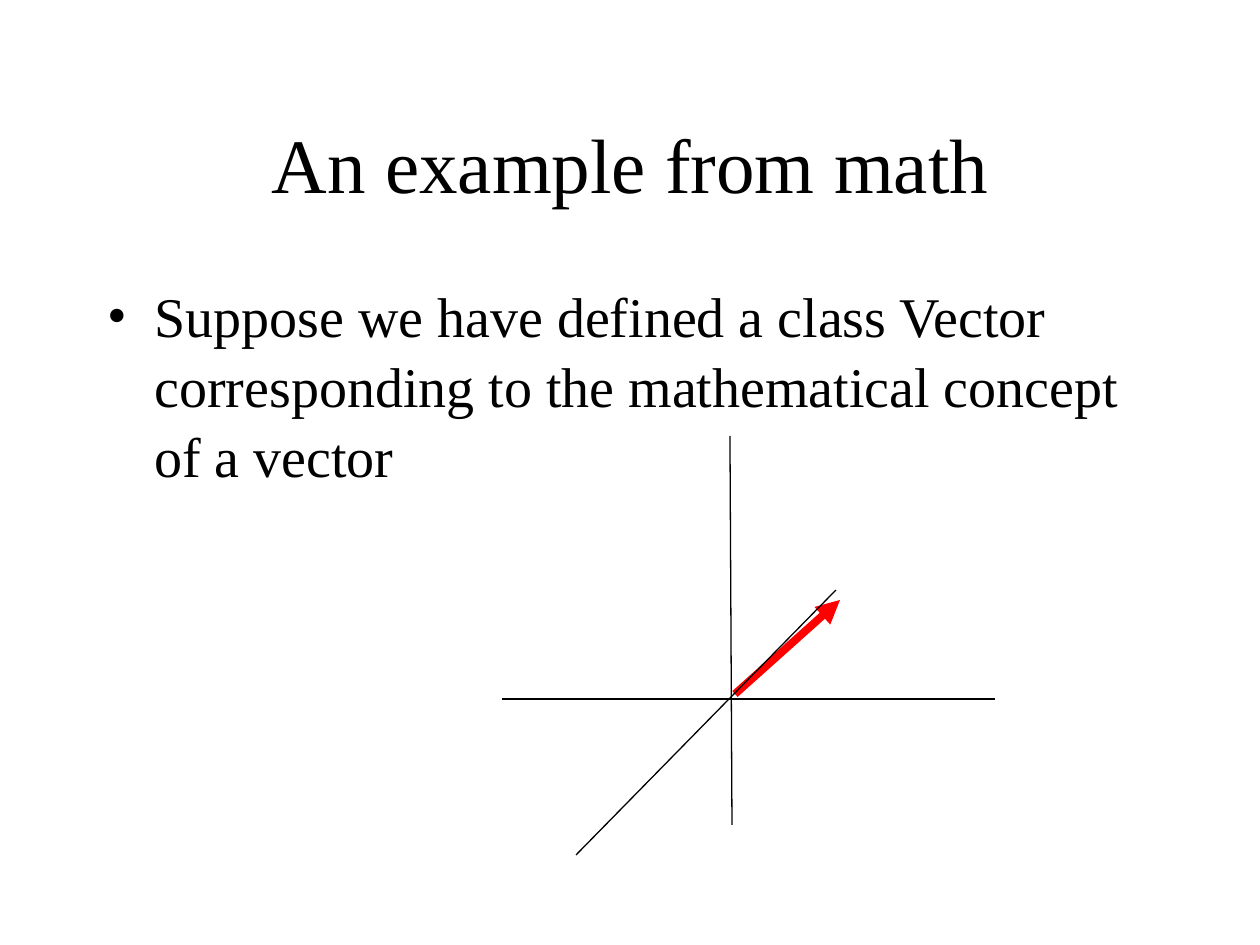
from lxml.etree import SubElement
from pptx import Presentation
from pptx.dml.color import RGBColor
from pptx.enum.shapes import MSO_CONNECTOR
from pptx.enum.text import MSO_ANCHOR, PP_ALIGN
from pptx.oxml.ns import qn
from pptx.util import Emu, Pt

FONT = "Times New Roman"
BLACK, RED = "000000", "FF0000"


def px(n):
    return Emu(round(n * 914400 / 126))


def color(value):
    return RGBColor.from_string(value)


def set_text(tf, text, size, anchor, align):
    tf.word_wrap = True
    tf.vertical_anchor = anchor
    p = tf.paragraphs[0]
    p.alignment = align
    r = p.add_run()
    r.text = text
    r.font.name = FONT
    r.font.size = Pt(size)
    r.font.color.rgb = color(BLACK)
    return p


def add_title(slide, box, text):
    sp = slide.shapes.title
    sp.left, sp.top, sp.width, sp.height = map(px, box)
    set_text(sp.text_frame, text, 44, MSO_ANCHOR.MIDDLE, PP_ALIGN.CENTER)


def add_bullet(slide, box, text, indent):
    sp = slide.shapes.add_textbox(*map(px, box))
    p = set_text(sp.text_frame, text, 32, MSO_ANCHOR.TOP, PP_ALIGN.LEFT)
    p.line_spacing = 1.04
    pPr = p._p.get_or_add_pPr()
    pPr.set("marL", str(px(indent)))
    pPr.set("indent", str(-px(indent)))
    SubElement(pPr, qn("a:buFont"), typeface=FONT)
    SubElement(pPr, qn("a:buChar"), char="•")


def add_line(shapes, start, end, value, width, arrow=False):
    line = shapes.add_connector(MSO_CONNECTOR.STRAIGHT, *map(px, start + end))
    line.line.color.rgb = color(value)
    line.line.width = Pt(width)
    if arrow:
        SubElement(line.line._get_or_add_ln(), qn("a:tailEnd"), type="triangle")
    SubElement(line._element.spPr, qn("a:effectLst"))


def main():
    prs = Presentation()
    prs.slide_width, prs.slide_height = px(1260), px(945)
    slide = prs.slides.add_slide(prs.slide_layouts[5])

    # Heading and statement
    add_title(slide, (95, 84, 1071, 158), "An example from math")
    add_bullet(slide, (95, 273, 1071, 567),
               "Suppose we have defined a class Vector corresponding to "
               "the mathematical concept of a vector", 47)

    # Vector, drawn behind the three axes
    diagram = slide.shapes.add_group_shape().shapes
    add_line(diagram, (735, 694), (840, 600), RED, 4.5, arrow=True)
    axes = [
        ((995, 699), (502, 699)),
        ((730, 436), (732, 825)),
        ((576, 855), (836, 590)),
    ]
    for start, end in axes:
        add_line(diagram, start, end, BLACK, 0.75)

    prs.save("out.pptx")


if __name__ == "__main__":
    main()
